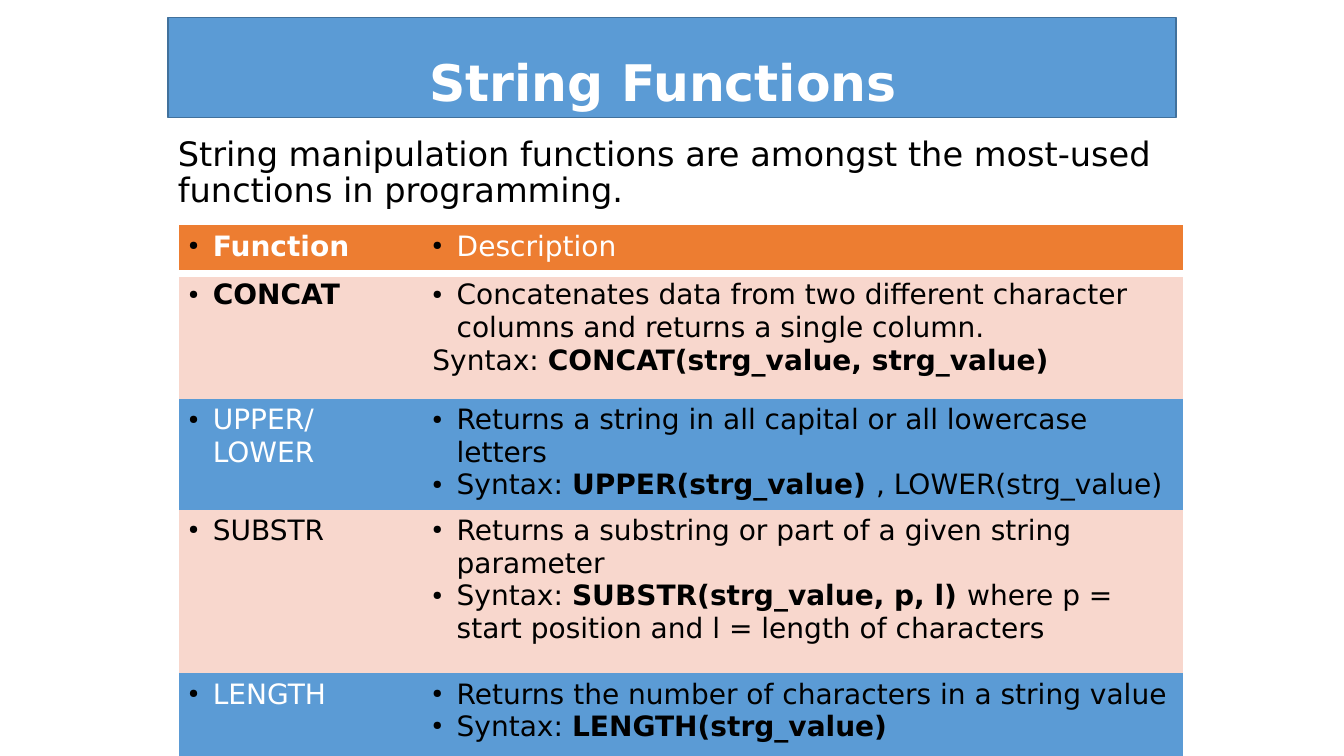
from pptx import Presentation
from pptx.dml.color import RGBColor
from pptx.enum.shapes import MSO_SHAPE as Shape
from pptx.enum.text import MSO_ANCHOR as Anchor, PP_ALIGN as Align
from pptx.oxml import parse_xml
from pptx.oxml.ns import nsdecls
from pptx.util import Pt

FONT = "DejaVu Sans"
COLORS = {
    "white": "FFFFFF",
    "black": "000000",
    "blue": "5B9BD5",
    "outline": "41719C",
    "orange": "ED7D31",
    "pink": "F8D7CD",
}
TITLE = "String Functions "
INTRO = "String manipulation functions are amongst the most-used functions in programming."
HEADER = ("Function", "Description")
FUNCTIONS = [
    {
        "name": "CONCAT",
        "bold": True,
        "about": "Concatenates data from two different character columns and returns a single column.",
        "syntax": "CONCAT(strg_value, strg_value)",
        "rest": "",
        "syntax_bullet": False,
    },
    {
        "name": "UPPER/LOWER",
        "about": "Returns a string in all capital or all lowercase letters",
        "syntax": "UPPER(strg_value) ",
        "rest": ", LOWER(strg_value)",
    },
    {
        "name": "SUBSTR",
        "about": "Returns a substring or part of a given string parameter",
        "syntax": "SUBSTR(strg_value, p, l) ",
        "rest": "where p = start position and l = length of characters",
    },
    {
        "name": "LENGTH",
        "about": "Returns the number of characters in a string value",
        "syntax": "LENGTH(strg_value)",
        "rest": "",
    },
]
COLUMN_WIDTHS = (174.24, 543.6)
ROW_HEIGHTS = (34.56, 89.28, 61.92, 116.64, 61.92)
INDENT = 17.28
LEFT, WIDTH = 120, 720
TABLE_LEFT, TABLE_TOP = 127.5, 161
NO_GRID_STYLE = "{2D5ABB26-0587-4C30-8999-92F81FD0307C}"


def rgb(color):
    return RGBColor.from_string(COLORS[color])


def add_bullet(paragraph):
    props = paragraph._p.get_or_add_pPr()
    props.set("marL", str(Pt(INDENT)))
    props.set("indent", str(-Pt(INDENT)))
    for xml in (
        f'<a:buClr {nsdecls("a")}><a:srgbClr val="{COLORS["black"]}"/></a:buClr>',
        f'<a:buSzPct {nsdecls("a")} val="45000"/>',
        f'<a:buChar {nsdecls("a")} char="●"/>',
    ):
        props.append(parse_xml(xml))


def write(frame, text, size=20, color="black", bold=False, align=Align.LEFT,
          spacing=None, before=None, bullet=False, new=False):
    paragraph = frame.add_paragraph() if new else frame.paragraphs[0]
    paragraph.alignment = align
    paragraph.line_spacing = spacing
    if before is not None:
        paragraph.space_before = Pt(before)
    if bullet:
        add_bullet(paragraph)
    pieces = [(text, bold)] if isinstance(text, str) else text
    for words, strong in pieces:
        run = paragraph.add_run()
        run.text = words
        run.font.name = FONT
        run.font.size = Pt(size)
        run.font.bold = strong
        run.font.color.rgb = rgb(color)


def fill_cell(cell, color):
    cell.fill.solid()
    cell.fill.fore_color.rgb = rgb(color)


def underline_cell(cell):
    cell._tc.get_or_add_tcPr().insert(0, parse_xml(
        f'<a:lnB {nsdecls("a")} w="{Pt(6)}"><a:solidFill>'
        f'<a:srgbClr val="{COLORS["white"]}"/></a:solidFill></a:lnB>'))


def add_title(slide):
    banner = slide.shapes.add_shape(Shape.RECTANGLE, Pt(LEFT), Pt(12.6), Pt(WIDTH), Pt(71.5))
    banner.shadow.inherit = False
    banner.fill.solid()
    banner.fill.fore_color.rgb = rgb("blue")
    banner.line.color.rgb = rgb("outline")
    banner.line.width = Pt(1)
    banner.text_frame.vertical_anchor = Anchor.BOTTOM
    write(banner.text_frame, TITLE, size=36, color="white", bold=True,
          align=Align.CENTER, spacing=0.9)


def add_intro(slide):
    intro = slide.shapes.add_textbox(Pt(LEFT), Pt(94.5), Pt(WIDTH), Pt(409))
    intro.text_frame.word_wrap = True
    write(intro.text_frame, INTRO, size=24, spacing=0.9, before=10)


def add_function_table(slide):
    frame = slide.shapes.add_table(
        len(ROW_HEIGHTS), len(COLUMN_WIDTHS), Pt(TABLE_LEFT), Pt(TABLE_TOP),
        Pt(sum(COLUMN_WIDTHS)), Pt(sum(ROW_HEIGHTS)))
    table = frame.table
    table._tbl.tblPr.find("{*}tableStyleId").text = NO_GRID_STYLE
    table.horz_banding = False
    for column, width in zip(table.columns, COLUMN_WIDTHS):
        column.width = Pt(width)
    for row, height in zip(table.rows, ROW_HEIGHTS):
        row.height = Pt(height)

    for column, heading in enumerate(HEADER):
        cell = table.cell(0, column)
        fill_cell(cell, "orange")
        underline_cell(cell)
        write(cell.text_frame, heading, color="white", bold=column == 0, bullet=True)

    for row, function in enumerate(FUNCTIONS, start=1):
        odd = row % 2 == 1
        name, description = table.cell(row, 0), table.cell(row, 1)
        for cell in (name, description):
            fill_cell(cell, "pink" if odd else "blue")
        write(name.text_frame, function["name"], color="black" if odd else "white",
              bold=function.get("bold", False), bullet=True)
        write(description.text_frame, function["about"], bullet=True)
        syntax = [("Syntax: ", False), (function["syntax"], True)]
        if function["rest"]:
            syntax.append((function["rest"], False))
        write(description.text_frame, syntax, new=True,
              bullet=function.get("syntax_bullet", True))


def main():
    deck = Presentation()
    deck.slide_width, deck.slide_height = Pt(960), Pt(540)
    slide = deck.slides.add_slide(deck.slide_layouts[6])
    add_title(slide)
    add_intro(slide)
    add_function_table(slide)
    deck.save("out.pptx")


if __name__ == "__main__":
    main()
